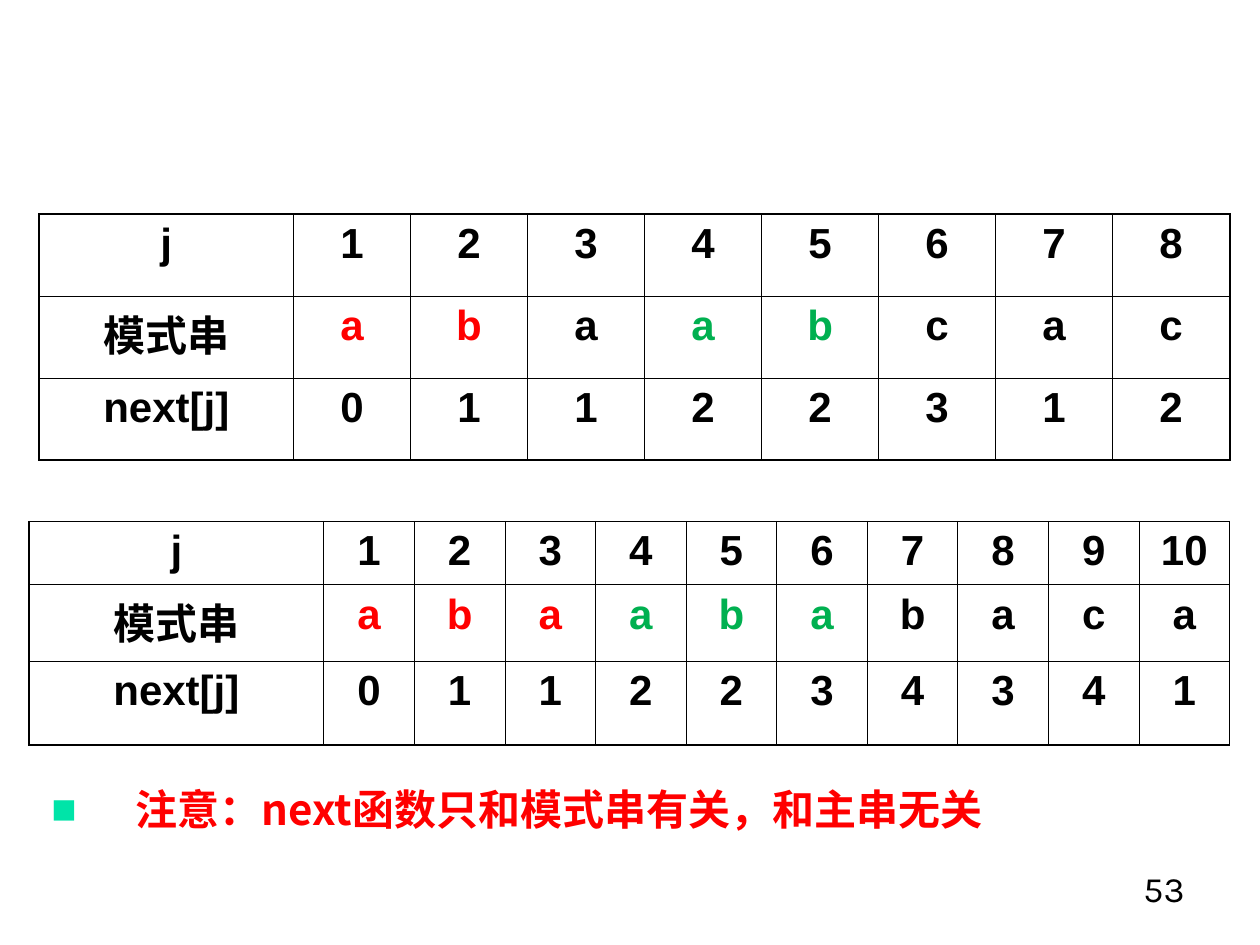
from lxml import etree
from pptx import Presentation
from pptx.dml.color import RGBColor
from pptx.enum import text
from pptx.oxml import ns
from pptx.util import Inches, Pt

COLORS = {"ink": "000000", "first": "FF0000", "second": "00B050", "bullet": "00E4A8"}
LATIN, CHINESE, NUMBER = "Arial", "Noto Sans CJK SC", "Karla"
THIN, THICK = Pt(0.45), Pt(1.08)


def add_element(parent, tag, **attributes):
    """Append a DrawingML element and return it."""
    return etree.SubElement(parent, ns.qn(f"a:{tag}"), attributes)


def style_text(para, font, color, size=24, bold=True):
    """Format every run of a paragraph."""
    for span in para.runs:
        span.font.name, span.font.size, span.font.bold = font, Pt(size), bold
        span.font.color.rgb = RGBColor.from_string(COLORS[color])
        add_element(span.font._element, "ea", typeface=CHINESE)


def add_borders(cell, outer_sides):
    """Draw thick lines on the outer sides of a cell and thin ones elsewhere."""
    properties = cell._tc.get_or_add_tcPr()
    for side in "LRTB":
        width = THICK if side in outer_sides else THIN
        line = add_element(properties, f"ln{side}", w=str(width))
        fill = add_element(line, "solidFill")
        add_element(fill, "srgbClr", val=COLORS["ink"])


def add_next_table(page, box, label_width, heights, pattern, values, marks):
    """Place a table of positions, pattern letters and next values in the box."""
    left, top, width = box
    rows = [
        ["j", *range(1, len(pattern) + 1)],
        ["模式串", *pattern],
        ["next[j]", *values],
    ]
    last_row, last_column = len(rows) - 1, len(pattern)
    frame = page.shapes.add_table(
        len(rows), last_column + 1,
        Inches(left), Inches(top), Inches(width), Inches(sum(heights)),
    )
    table = frame.table
    table.first_row = table.horz_banding = False
    for index, column in enumerate(table.columns):
        column.width = Inches((width - label_width) / last_column if index else label_width)
    for r, (height, row) in enumerate(zip(heights, rows)):
        table.rows[r].height = Inches(height)
        for c, value in enumerate(row):
            cell = table.cell(r, c)
            edges = {"L": c == 0, "R": c == last_column, "T": r == 0, "B": r == last_row}
            add_borders(cell, [side for side, outer in edges.items() if outer])
            cell.fill.background()
            cell.text_frame.text = str(value)
            para = cell.text_frame.paragraphs[0]
            para.alignment = text.PP_ALIGN.CENTER
            style_text(para, LATIN, marks.get(c, "ink") if r == 1 else "ink")


def add_text(page, box, content):
    """Place a wrapping text box and return its paragraph."""
    frame = page.shapes.add_textbox(*map(Inches, box)).text_frame
    frame.word_wrap = True
    frame.text = content
    return frame.paragraphs[0]


def add_note(page, box):
    """Place the bulleted remark below the tables."""
    para = add_text(page, box, "注意：next函数只和模式串有关，和主串无关")
    properties = para._p.get_or_add_pPr()
    properties.set("marL", str(Inches(0.67)))
    properties.set("indent", str(Inches(-0.67)))
    add_element(add_element(properties, "buClr"), "srgbClr", val=COLORS["bullet"])
    add_element(properties, "buFont", typeface=LATIN)
    add_element(properties, "buChar", char="■")
    style_text(para, CHINESE, "first")


def add_page_number(page, box):
    """Place the page number at the right of its box."""
    para = add_text(page, box, "53")
    para.alignment = text.PP_ALIGN.RIGHT
    style_text(para, NUMBER, "ink", size=20.4, bold=False)


def main():
    """Build the slide and save it."""
    deck = Presentation()
    deck.slide_width, deck.slide_height = Inches(10), Inches(7.5)
    page = deck.slides.add_slide(deck.slide_layouts[6])
    add_page_number(page, (7.17, 6.83, 2.33, 0.5))
    add_next_table(
        page, (0.31, 1.7, 9.45), 2.02, [0.65] * 3, "abaabcac", "01122312",
        {1: "first", 2: "first", 4: "second", 5: "second"},
    )
    add_next_table(
        page, (0.23, 4.14, 9.53), 2.34, [0.5, 0.61, 0.66], "abaababaca", "0112234341",
        {**dict.fromkeys((1, 2, 3), "first"), **dict.fromkeys((4, 5, 6), "second")},
    )
    add_note(page, (0.31, 6.17, 8.36, 0.55))
    deck.save("out.pptx")


if __name__ == "__main__":
    main()
